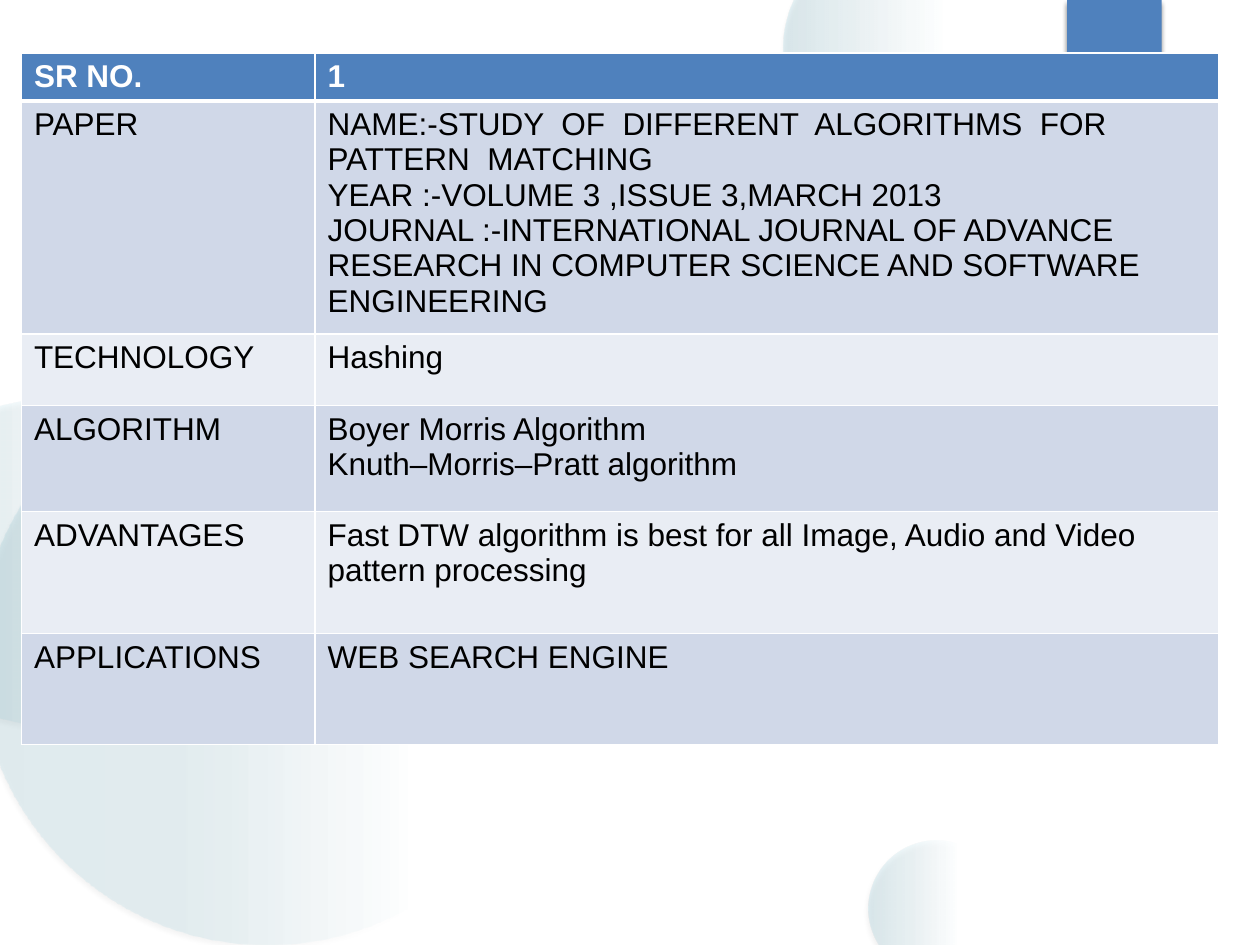
from typing import NamedTuple

from lxml import etree
from pptx import Presentation
from pptx.dml.color import RGBColor
from pptx.enum.shapes import MSO_SHAPE
from pptx.oxml.ns import qn
from pptx.util import Inches, Pt

OVAL = MSO_SHAPE.OVAL
RECTANGLE = MSO_SHAPE.RECTANGLE

TEAL = RGBColor(0x4B, 0xAC, 0xC6)
BLUE = RGBColor(0x4F, 0x81, 0xBD)
BAND_DARK = RGBColor(0xD0, 0xD8, 0xE8)
BAND_LIGHT = RGBColor(0xE9, 0xED, 0xF4)
WHITE = RGBColor(0xFF, 0xFF, 0xFF)
BLACK = RGBColor(0, 0, 0)


class Bubble(NamedTuple):
    left: float
    top: float
    diameter: float
    start_alpha: int
    middle_alpha: int
    fade_end: int


class PaperRow(NamedTuple):
    label: str
    lines: list[str]
    height: float


BUBBLES = [
    Bubble(6.89, 1.83, 3.08, 7, 6, 69),
    Bubble(6.22, -0.5, 1.75, 14, 7, 73),
    Bubble(6.89, 6.67, 1.08, 14, 7, 66),
    Bubble(-0.17, 2.92, 4.58, 11, 10, 75),
    Bubble(-0.92, 3.17, 2.58, 8, 8, 72),
]

COLUMN_WIDTHS = [2.33, 7.17]
ROWS = [
    PaperRow("SR NO.", ["1"], 0.38),
    PaperRow("PAPER", [
        "NAME:-STUDY  OF  DIFFERENT  ALGORITHMS  FOR PATTERN  MATCHING",
        "YEAR :-VOLUME 3 ,ISSUE 3,MARCH 2013",
        "JOURNAL :-INTERNATIONAL JOURNAL OF ADVANCE RESEARCH IN "
        "COMPUTER SCIENCE AND SOFTWARE ENGINEERING",
    ], 1.85),
    PaperRow("TECHNOLOGY", ["Hashing"], 0.57),
    PaperRow("ALGORITHM", ["Boyer Morris Algorithm", "Knuth–Morris–Pratt algorithm"], 0.84),
    PaperRow("ADVANTAGES", [
        "Fast DTW algorithm is best for all Image, Audio and Video pattern processing",
    ], 0.97),
    PaperRow("APPLICATIONS", ["WEB SEARCH ENGINE"], 0.88),
]


def add_color(parent, color: RGBColor, alpha: int = 100) -> None:
    element = etree.SubElement(parent, qn("a:srgbClr"), val=str(color))
    if alpha < 100:
        etree.SubElement(element, qn("a:alpha"), val=str(alpha * 1000))


def add_shadow(shape) -> None:
    shape.shadow.inherit = False
    effects = shape.element.spPr.find(qn("a:effectLst"))
    shadow = etree.SubElement(
        effects, qn("a:outerShdw"), blurRad=str(Pt(3)), dist=str(Pt(2)),
        dir=str(90 * 60000), rotWithShape="0")
    add_color(shadow, BLACK, 45)


def add_bubble(slide, bubble: Bubble) -> None:
    """Draw a circle that fades out from left to right."""
    size = Inches(bubble.diameter)
    shape = slide.shapes.add_shape(OVAL, Inches(bubble.left), Inches(bubble.top), size, size)
    shape.line.fill.background()
    shape.fill.gradient()
    shape.fill.gradient_angle = 0
    stops = shape.element.spPr.find(qn("a:gradFill")).find(qn("a:gsLst"))
    stops.clear()
    for position, alpha in [(0, bubble.start_alpha), (36, bubble.middle_alpha),
                            (bubble.fade_end, 0)]:
        stop = etree.SubElement(stops, qn("a:gs"), pos=str(position * 1000))
        add_color(stop, TEAL, alpha)
    add_shadow(shape)


def add_tab(slide) -> None:
    tab = slide.shapes.add_shape(RECTANGLE, Inches(8.47), 0, Inches(0.75), Inches(1.2))
    tab.fill.solid()
    tab.fill.fore_color.rgb = BLUE
    tab.line.fill.background()
    add_shadow(tab)


def set_borders(cell, top: int, bottom: int) -> None:
    properties = cell._tc.get_or_add_tcPr()
    for side, width in [("L", 1), ("R", 1), ("T", top), ("B", bottom)]:
        line = etree.SubElement(properties, qn(f"a:ln{side}"), w=str(Pt(width)))
        add_color(etree.SubElement(line, qn("a:solidFill")), WHITE)


def fill_cell(cell, lines: list[str], row_index: int) -> None:
    is_header = row_index == 0
    set_borders(cell, top=3 if row_index == 1 else 1, bottom=3 if is_header else 1)
    cell.fill.solid()
    band = BAND_DARK if row_index % 2 else BAND_LIGHT
    cell.fill.fore_color.rgb = BLUE if is_header else band
    cell.text = "\n".join(lines)
    for paragraph in cell.text_frame.paragraphs:
        font = paragraph.font
        font.name = "Arial"
        font.size = Pt(18)
        font.bold = is_header
        font.color.rgb = WHITE if is_header else BLACK


def add_paper_table(slide) -> None:
    table = slide.shapes.add_table(
        len(ROWS), len(COLUMN_WIDTHS), Inches(0.17), Inches(0.42),
        Inches(sum(COLUMN_WIDTHS)), Inches(sum(row.height for row in ROWS))).table
    for column, width in zip(table.columns, COLUMN_WIDTHS):
        column.width = Inches(width)
    for index, row in enumerate(ROWS):
        table.rows[index].height = Inches(row.height)
        fill_cell(table.cell(index, 0), [row.label], index)
        fill_cell(table.cell(index, 1), row.lines, index)


def main() -> None:
    presentation = Presentation()
    presentation.slide_width = Inches(10)
    presentation.slide_height = Inches(7.5)
    slide = presentation.slides.add_slide(presentation.slide_layouts[6])
    for bubble in BUBBLES:
        add_bubble(slide, bubble)
    add_tab(slide)
    add_paper_table(slide)
    presentation.save("out.pptx")


if __name__ == "__main__":
    main()
